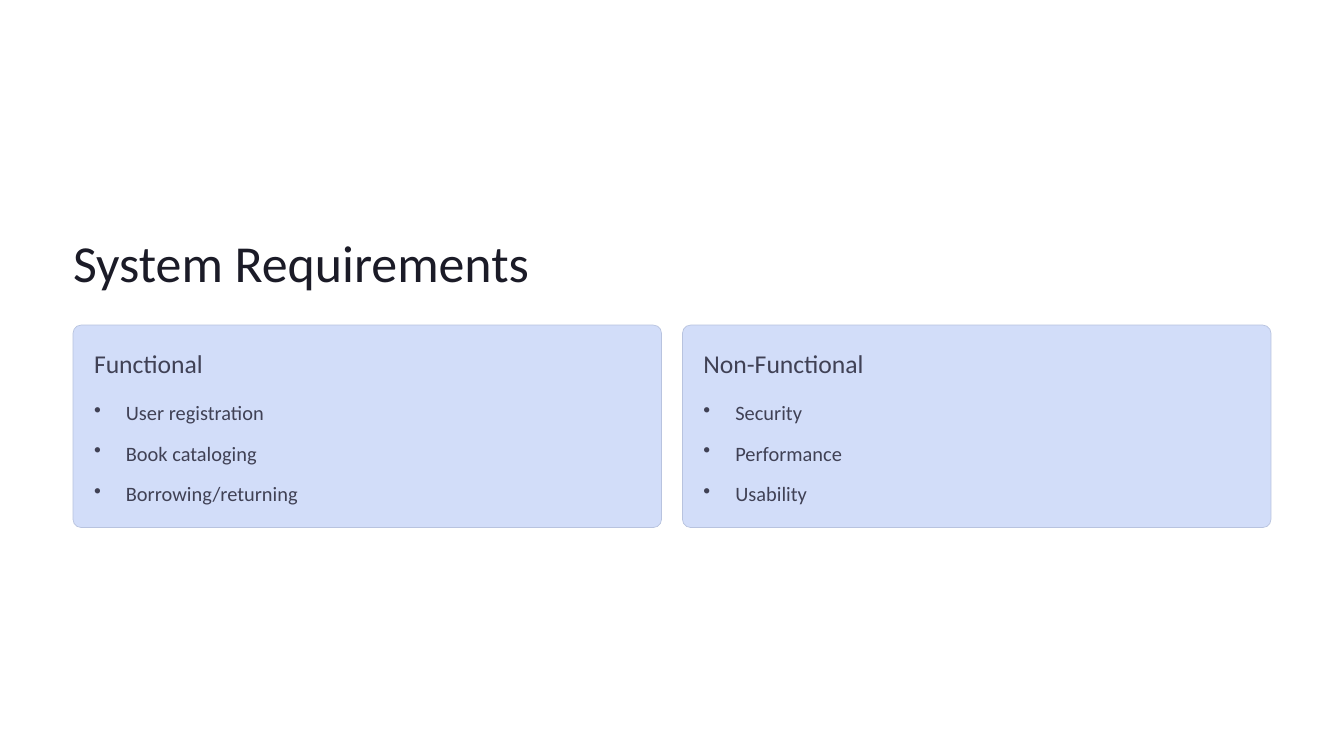
"""Build the System Requirements slide with two requirement cards."""
import pptx
import pptx.dml.color
import pptx.enum.shapes
import pptx.enum.text
import pptx.oxml
import pptx.oxml.ns
import pptx.util
from lxml import etree

TITLE = "System Requirements"
CARDS = [
    ("Functional", ["User registration", "Book cataloging", "Borrowing/returning"]),
    ("Non-Functional", ["Security", "Performance", "Usability"]),
]
COLORS = {"background": "FFFFFF", "title": "1B1B27", "text": "404155",
          "card": "D2DDF9", "border": "B8C3DF"}
FONT = "Calibri"

SLIDE_WIDTH, SLIDE_HEIGHT = 16.01, 9
MARGIN, GAP, PADDING = 0.87, 0.25, 0.25
CARD_TOP, CARD_HEIGHT = 3.87, 2.41
CARD_WIDTH = (SLIDE_WIDTH - 2 * MARGIN - GAP * (len(CARDS) - 1)) / len(CARDS)
TITLE_TOP, TITLE_HEIGHT = 2.72, 0.78
HEADING_HEIGHT = 0.39
LIST_TOP, LIST_HEIGHT = 4.66, 1.37
INDENT = 0.38


def color(name):
    return pptx.dml.color.RGBColor.from_string(COLORS[name])


def inches(*lengths):
    return [pptx.util.Inches(length) for length in lengths]


def add_bullet(paragraph):
    properties = paragraph._p.get_or_add_pPr()
    properties.set("marL", str(pptx.util.Inches(INDENT)))
    properties.set("indent", str(-pptx.util.Inches(INDENT)))
    bullet = etree.SubElement(properties, pptx.oxml.ns.qn("a:buChar"))
    bullet.set("char", "•")


def add_text(slide, box, lines, size, line_height, color_name, gap=0, bulleted=False):
    frame = slide.shapes.add_textbox(*inches(*box)).text_frame
    frame.word_wrap = True
    frame.vertical_anchor = pptx.enum.text.MSO_ANCHOR.TOP
    frame.margin_left = frame.margin_right = frame.margin_top = frame.margin_bottom = 0
    for index, line in enumerate(lines):
        paragraph = frame.add_paragraph() if index else frame.paragraphs[0]
        if bulleted:
            add_bullet(paragraph)
        paragraph.line_spacing = pptx.util.Pt(line_height)
        if index:
            paragraph.space_before = pptx.util.Pt(gap)
        run = paragraph.add_run()
        run.text = line
        run.font.name = FONT
        run.font.size = pptx.util.Pt(size)
        run.font.color.rgb = color(color_name)


def add_card(slide, left, heading, items):
    card = slide.shapes.add_shape(
        pptx.enum.shapes.MSO_SHAPE.ROUNDED_RECTANGLE,
        *inches(left, CARD_TOP, CARD_WIDTH, CARD_HEIGHT))
    card.adjustments[0] = 0.04
    card.shadow.inherit = False
    card.fill.solid()
    card.fill.fore_color.rgb = color("card")
    card.line.color.rgb = color("border")
    card.line.width = pptx.util.Pt(0.6)

    text_left, text_width = left + PADDING, CARD_WIDTH - 2 * PADDING
    add_text(slide, (text_left, CARD_TOP + PADDING, text_width, HEADING_HEIGHT),
             [heading], 22, 27.5, "text")
    add_text(slide, (text_left, LIST_TOP, text_width, LIST_HEIGHT),
             items, 17.5, 28.5, "text", gap=6.4, bulleted=True)


def main():
    presentation = pptx.Presentation()
    presentation.slide_width, presentation.slide_height = inches(SLIDE_WIDTH, SLIDE_HEIGHT)
    slide = presentation.slides.add_slide(presentation.slide_layouts[6])
    slide.background.fill.solid()
    slide.background.fill.fore_color.rgb = color("background")

    add_text(slide, (MARGIN, TITLE_TOP, SLIDE_WIDTH - 2 * MARGIN, TITLE_HEIGHT),
             [TITLE], 44.5, 55.5, "title")
    for column, (heading, items) in enumerate(CARDS):
        add_card(slide, MARGIN + column * (CARD_WIDTH + GAP), heading, items)
    presentation.save("out.pptx")


if __name__ == "__main__":
    main()
